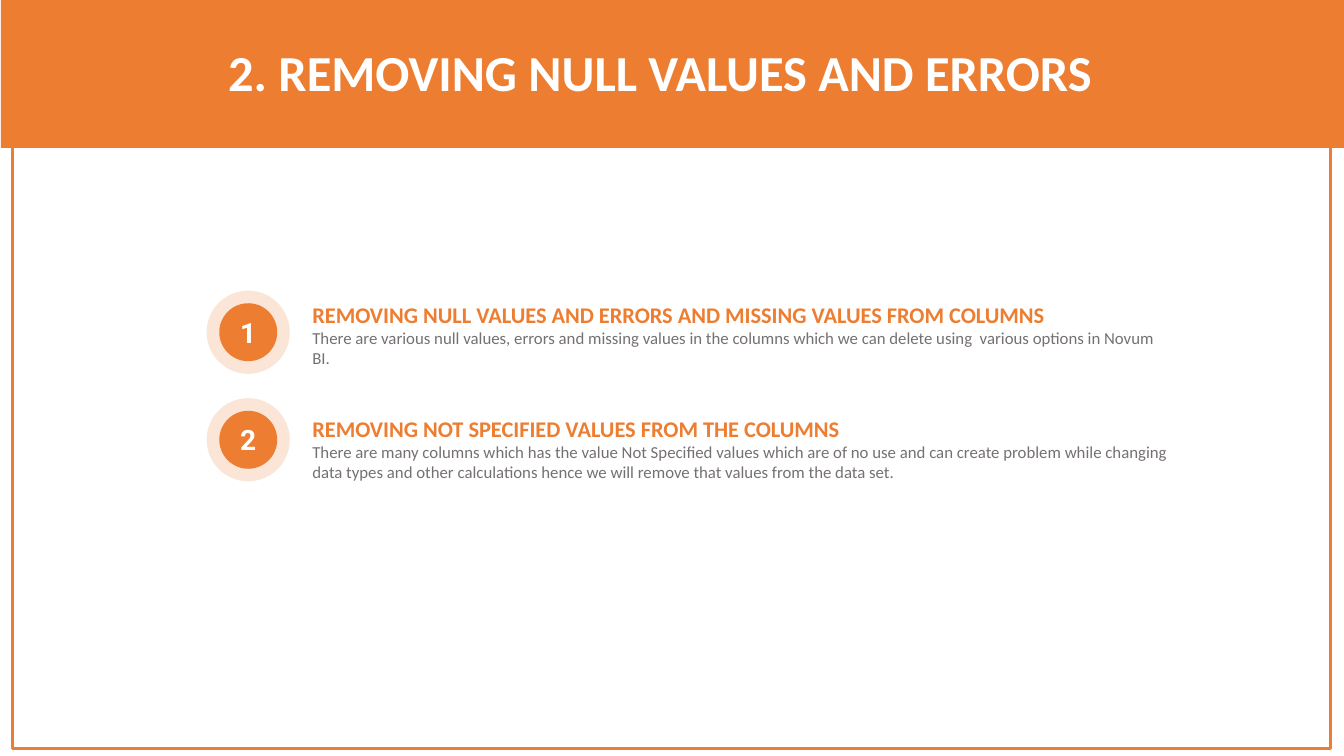
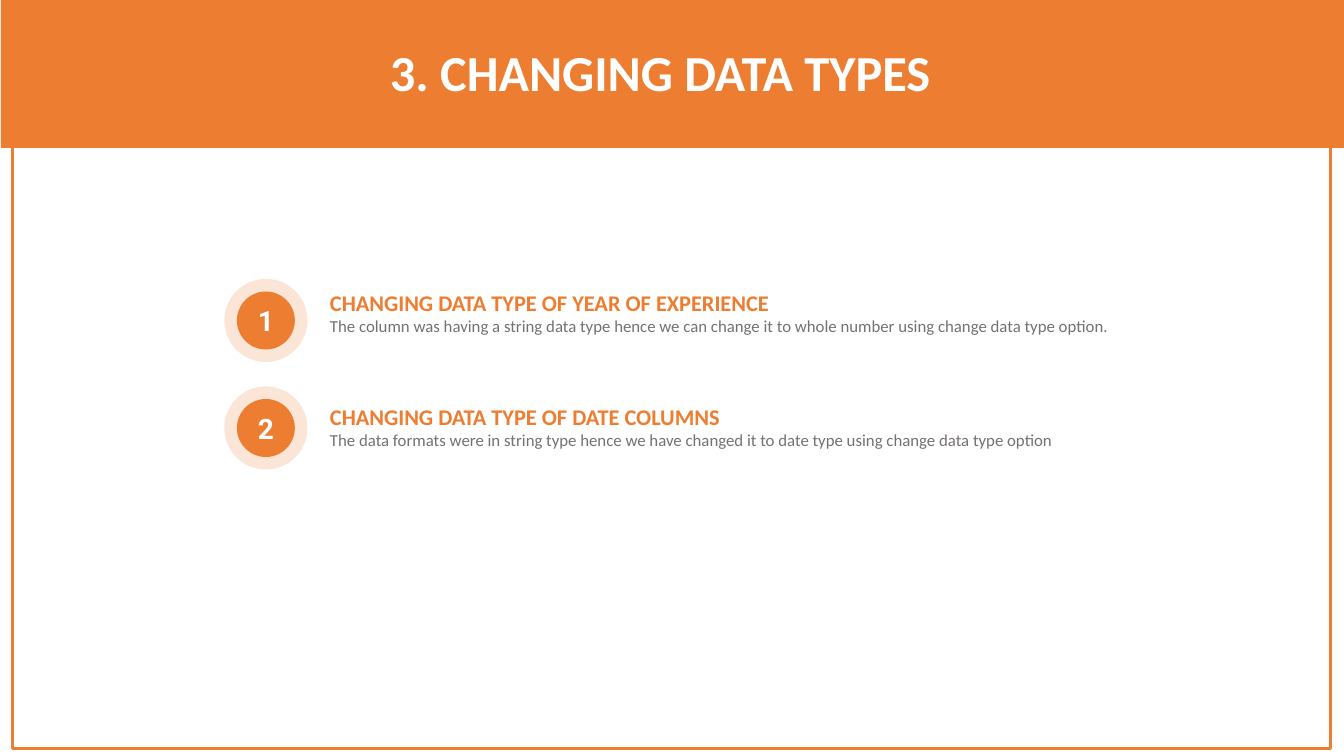
from dataclasses import dataclass
from pptx import Presentation
from pptx import util as u
from pptx.dml.color import RGBColor
from pptx.enum import shapes, text


@dataclass(frozen=True)
class Theme:
    main: str = "ED7D31"
    pale: str = "FBE5D6"
    white: str = "FFFFFF"
    grey: str = "767171"
    face: str = "Calibri"
    digit: str = "Roboto"
    title: int = 36
    num: int = 20
    head: int = 16
    body: int = 12
    rule: float = 2.25


T = Theme()
CELL = u.Inches(1) // 12
COLS, ROWS = 160, 90
RING, DISC = 9.9, 6.9
GAP = (RING - DISC) / 2
LEFT, TOP, STEP = 24.6, 34.6, 12.8
TEXT_X, TEXT_Y, TEXT_STEP = 36, 35.2, 13.6

SLIDES = [
    ("2. REMOVING NULL VALUES AND ERRORS", (0, 0), 9.2, [
        ("REMOVING NULL VALUES AND ERRORS AND MISSING VALUES FROM COLUMNS",
         "There are various null values, errors and missing values in the columns "
         "which we can delete using  various options in Novum BI."),
        ("REMOVING NOT SPECIFIED VALUES FROM THE COLUMNS",
         "There are many columns which has the value Not Specified values which are "
         "of no use and can create problem while changing data types and other "
         "calculations hence we will remove that values from the data set."),
    ]),
    ("3. CHANGING DATA TYPES", (2.1, -1.4), 6.8, [
        ("CHANGING DATA TYPE OF YEAR OF EXPERIENCE",
         "The column was having a string data type hence we can change it to whole "
         "number using change data type option."),
        ("CHANGING DATA TYPE OF DATE COLUMNS",
         "The data formats were in string type hence we have changed it to date type "
         "using change data type option"),
    ]),
]


def draw(page, kind, area, fill):
    item = page.shapes.add_shape(kind, *(round(n * CELL) for n in area))
    item.shadow.inherit = False
    item.fill.solid()
    item.fill.fore_color.rgb = RGBColor.from_string(fill)
    item.line.fill.background()
    return item


def write(par, words, size, color, bold=True, face=T.face, align=text.PP_ALIGN.LEFT):
    par.text = words
    par.alignment = align
    form = {"size": u.Pt(size), "bold": bold, "name": face}
    for key, val in form.items():
        setattr(par.runs[0].font, key, val)
    par.runs[0].font.color.rgb = RGBColor.from_string(color)


deck = Presentation()
deck.slide_width, deck.slide_height = COLS * CELL, ROWS * CELL
base = deck.slide_layouts[5]
pages = [deck.slides.add_slide(base) for _ in SLIDES]

frame = draw(pages[0], shapes.MSO_SHAPE.RECTANGLE, (1.5, 1.1, 156.9, 88), T.white)
frame.line.color.rgb = RGBColor.from_string(T.main)
frame.line.width = u.Pt(T.rule)
band = draw(pages[0], shapes.MSO_SHAPE.RECTANGLE, (0.1, -0.5, COLS, 18.1), T.main)
for spot, part in enumerate((frame, band), 2):
    base.shapes._spTree.insert(spot, part._element)

for page, (name, (dx, dy), high, items) in zip(pages, SLIDES):
    title = page.shapes.title
    place = {"left": 19.9, "top": 4.3, "width": 117.4, "height": 8.5}
    for key, val in place.items():
        setattr(title, key, round(val * CELL))
    form = {"auto_size": text.MSO_AUTO_SIZE.NONE, "word_wrap": True,
            "vertical_anchor": text.MSO_ANCHOR.TOP}
    for key, val in form.items():
        setattr(title.text_frame, key, val)
    write(title.text_frame.paragraphs[0], name, T.title, T.white,
          align=text.PP_ALIGN.CENTER)

    for row, (head, body) in enumerate(items):
        x, y = LEFT + dx, TOP + dy + row * STEP
        draw(page, shapes.MSO_SHAPE.OVAL, (x, y, RING, RING), T.pale)
        disc = draw(page, shapes.MSO_SHAPE.OVAL, (x + GAP, y + GAP, DISC, DISC), T.main)
        form = {"margin_left": 0, "margin_right": 0, "margin_top": 0,
                "margin_bottom": 0, "vertical_anchor": text.MSO_ANCHOR.MIDDLE}
        for key, val in form.items():
            setattr(disc.text_frame, key, val)
        write(disc.text_frame.paragraphs[0], str(row + 1), T.num, T.white,
              face=T.digit, align=text.PP_ALIGN.CENTER)

        area = (TEXT_X + dx, TEXT_Y + dy + row * TEXT_STEP, 104.3, high)
        note = page.shapes.add_textbox(*(round(n * CELL) for n in area)).text_frame
        note.word_wrap = True
        write(note.paragraphs[0], head, T.head, T.main)
        write(note.add_paragraph(), body, T.body, T.grey, bold=False)

deck.save("out.pptx")
